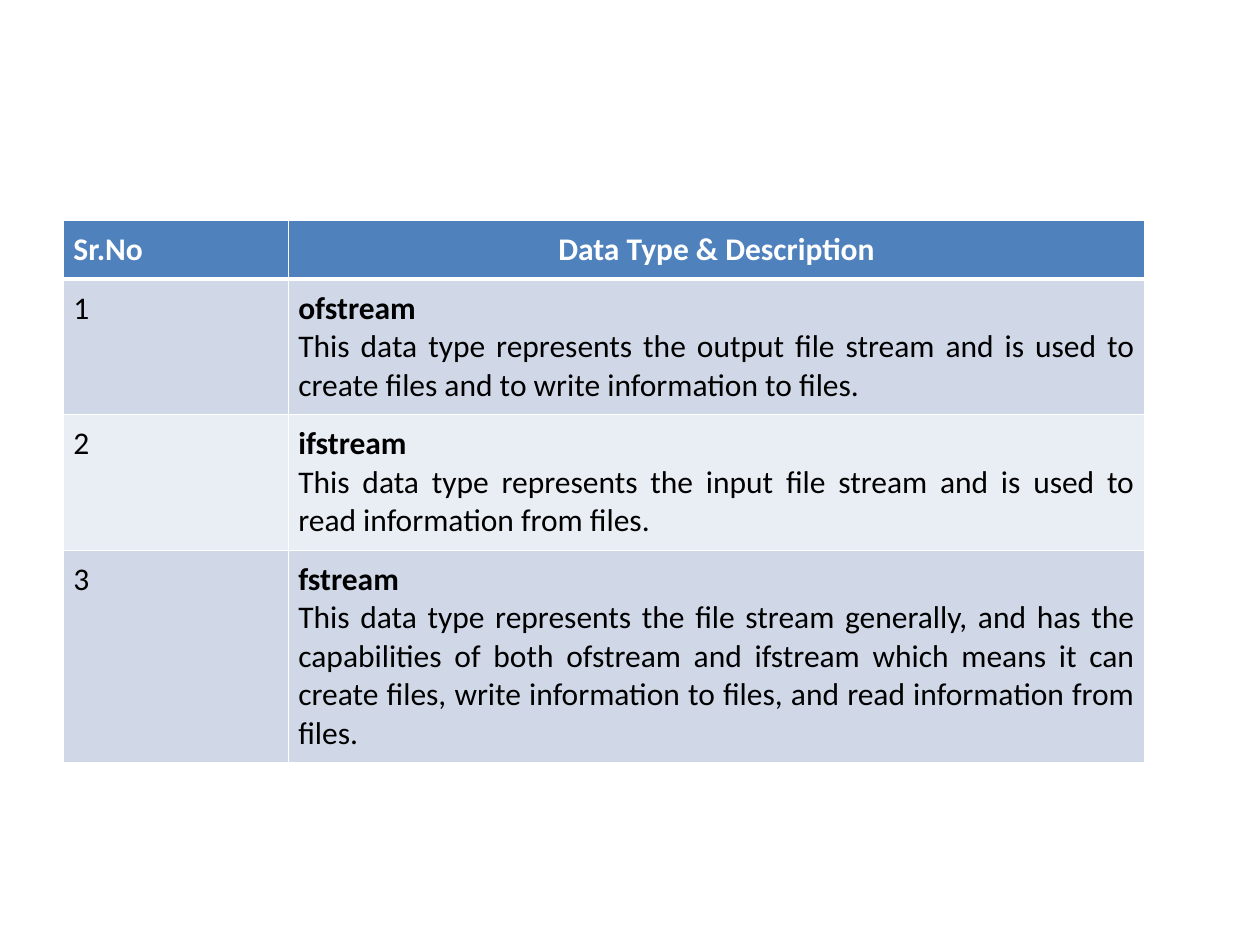
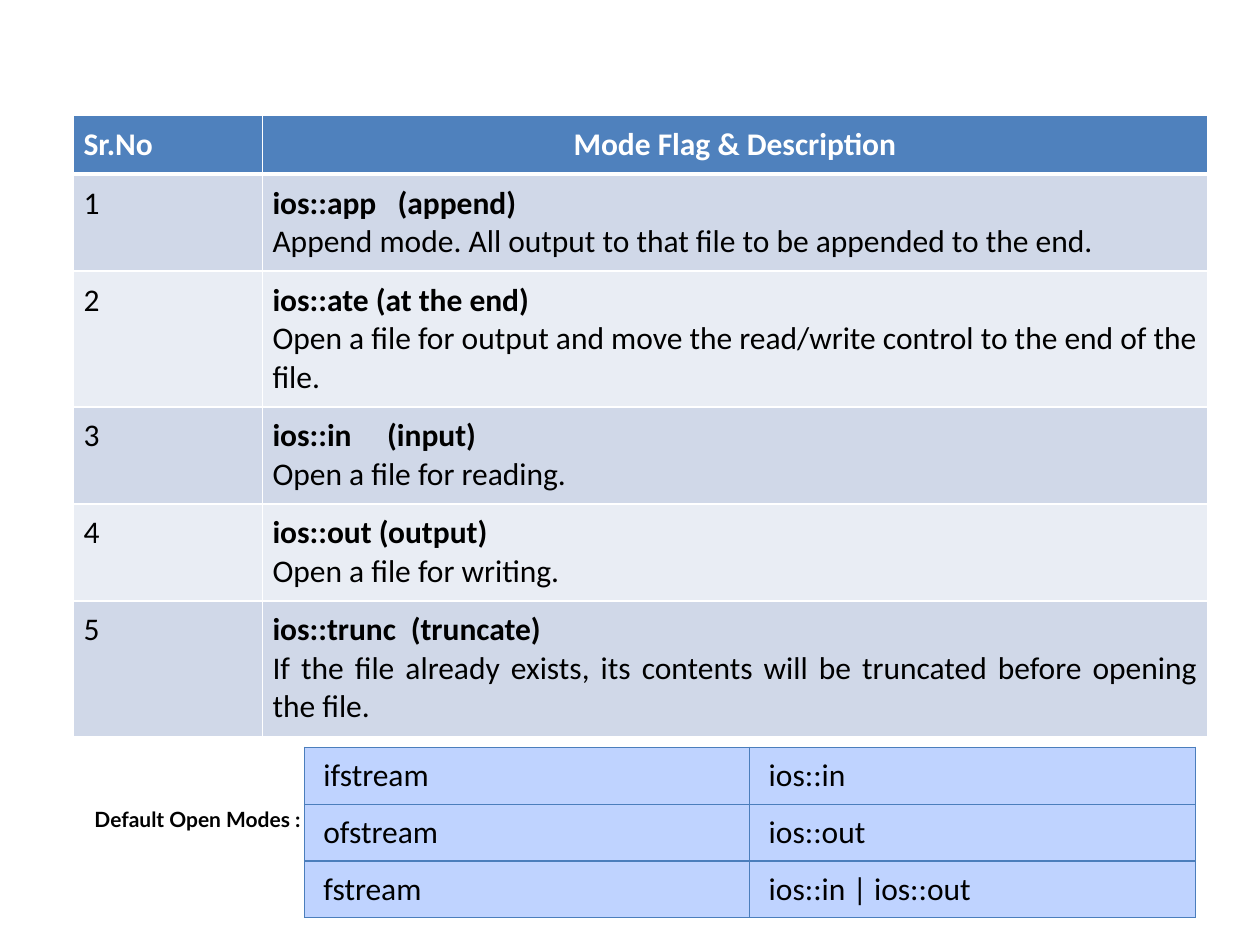
from lxml import etree
from pptx import Presentation
from pptx.dml.color import RGBColor
from pptx.enum.text import MSO_ANCHOR, PP_ALIGN
from pptx.oxml.ns import qn
from pptx.util import Pt

LEFT, CENTER, JUSTIFY = PP_ALIGN.LEFT, PP_ALIGN.CENTER, PP_ALIGN.JUSTIFY
TOP, MIDDLE = MSO_ANCHOR.TOP, MSO_ANCHOR.MIDDLE
BLANK_LAYOUT = 6

COLORS = {
    "header": "4F81BD",
    "band_dark": "D0D8E8",
    "band_light": "E9EDF4",
    "modes": "BFD3FF",
    "modes_line": "4B7EBC",
    "white": "FFFFFF",
    "text": "000000",
}
BODY_FONT, LABEL_FONT = "Calibri", "Lato"
BODY_SIZE, LINE_HEIGHT = 18, 22
INSET = 5.75

# Each entry: term, note after the term, tab stop of the note, description, lines in the cell
STREAMS = [
    ("ofstream", "", 0, "This data type represents the output file stream and is used to "
     "create files and to write information to files.", 3),
    ("ifstream", "", 0, "This data type represents the input file stream and is used to "
     "read information from files.", 3),
    ("fstream", "", 0, "This data type represents the file stream generally, and has the "
     "capabilities of both ofstream and ifstream which means it can create files, write "
     "information to files, and read information from files.", 5),
]
FLAGS = [
    ("ios::app", "(append)", 71.5, "Append mode. All output to that file to be appended "
     "to the end.", 2),
    ("ios::ate (at the end)", "", 0, "Open a file for output and move the read/write "
     "control to the end of the file.", 3),
    ("ios::in", "(input)", 65.5, "Open a file for reading.", 2),
    ("ios::out (output)", "", 0, "Open a file for writing.", 2),
    ("ios::trunc", "(truncate)", 79, "If the file already exists, its contents will be "
     "truncated before opening the file.", 3),
]
DEFAULT_MODES = [
    ("ifstream", "ios::in"),
    ("ofstream", "ios::out"),
    ("fstream", "ios::in | ios::out"),
]


def rgb(name):
    """Return the named colour."""
    return RGBColor.from_string(COLORS[name])


def style_paragraph(p, text, color="text", bold=False, align=LEFT,
                    font=BODY_FONT, size=BODY_SIZE):
    """Write text into a paragraph and format it."""
    p.text = text
    p.alignment = align
    p.font.name = font
    p.font.size = Pt(size)
    p.font.bold = bold
    p.font.color.rgb = rgb(color)


def add_tab_stop(p, position):
    """Give a paragraph one left tab stop."""
    tabs = etree.Element(qn("a:tabLst"))
    etree.SubElement(tabs, qn("a:tab"), pos=str(int(Pt(position))), algn="l")
    p._p.get_or_add_pPr().insert_element_before(tabs, "a:defRPr", "a:extLst")


def set_borders(cell, color, top, bottom, side):
    """Draw the four borders of a cell, with widths in points."""
    tcPr = cell._tc.get_or_add_tcPr()
    for tag, width in (("lnL", side), ("lnR", side), ("lnT", top), ("lnB", bottom)):
        ln = etree.SubElement(tcPr, qn("a:" + tag), w=str(int(Pt(width))))
        fill = etree.SubElement(ln, qn("a:solidFill"))
        etree.SubElement(fill, qn("a:srgbClr"), val=COLORS[color])


def style_cell(cell, fill, inset_x, inset_y, anchor=TOP):
    """Set the fill, insets and anchor of a cell."""
    cell.fill.solid()
    cell.fill.fore_color.rgb = rgb(fill)
    cell.margin_left = cell.margin_right = Pt(inset_x)
    cell.margin_top = cell.margin_bottom = Pt(inset_y)
    cell.vertical_anchor = anchor


def add_table(slide, left, top, widths, heights):
    """Add an empty table with the given column widths and row heights."""
    frame = slide.shapes.add_table(len(heights), len(widths), Pt(left), Pt(top),
                                   Pt(sum(widths)), Pt(sum(heights)))
    table = frame.table
    table.horz_banding = False
    for column, width in zip(table.columns, widths):
        column.width = Pt(width)
    for row, height in zip(table.rows, heights):
        row.height = Pt(height)
    return table


def add_description_table(slide, left, top, widths, heading, entries):
    """Add a numbered table of terms and their descriptions."""
    line_counts = [1] + [entry[-1] for entry in entries]
    heights = [2 * INSET + LINE_HEIGHT * count for count in line_counts]
    table = add_table(slide, left, top, widths, heights)

    for i, row in enumerate(table.rows):
        fill = "header" if i == 0 else ("band_light", "band_dark")[i % 2]
        for cell in row.cells:
            set_borders(cell, "white", 3 if i == 1 else 1, 3 if i == 0 else 1, 1)
            style_cell(cell, fill, INSET, INSET)

    for j, (text, align) in enumerate((("Sr.No", LEFT), (heading, CENTER))):
        p = table.cell(0, j).text_frame.paragraphs[0]
        style_paragraph(p, text, "white", True, align)

    for i, (term, note, tab, description, _) in enumerate(entries, 1):
        style_paragraph(table.cell(i, 0).text_frame.paragraphs[0], str(i))
        tf = table.cell(i, 1).text_frame
        p = tf.paragraphs[0]
        style_paragraph(p, f"{term}\t{note}" if note else term, bold=True, align=JUSTIFY)
        if note:
            add_tab_stop(p, tab)
        style_paragraph(tf.add_paragraph(), description, align=JUSTIFY)


def add_modes_table(slide, left, top, width, row_height):
    """Add the table of default open modes."""
    table = add_table(slide, left, top, [width / 2] * 2,
                      [row_height] * len(DEFAULT_MODES))
    table.first_row = False
    for i, texts in enumerate(DEFAULT_MODES):
        for j, text in enumerate(texts):
            cell = table.cell(i, j)
            set_borders(cell, "modes_line", 0.75, 0.75, 0.75)
            style_cell(cell, "modes", 10.8, 5, MIDDLE)
            style_paragraph(cell.text_frame.paragraphs[0], text)


def add_label(slide, text, left, top, width, height):
    """Add a small bold label without insets."""
    tf = slide.shapes.add_textbox(Pt(left), Pt(top), Pt(width), Pt(height)).text_frame
    tf.word_wrap = True
    tf.vertical_anchor = MIDDLE
    tf.margin_left = tf.margin_right = tf.margin_top = tf.margin_bottom = 0
    style_paragraph(tf.paragraphs[0], text, bold=True, font=LABEL_FONT, size=12)


def main():
    """Build and save the presentation."""
    prs = Presentation()
    prs.slide_width, prs.slide_height = Pt(720), Pt(540)
    layout = prs.slide_layouts[BLANK_LAYOUT]

    slide = prs.slides.add_slide(layout)
    add_description_table(slide, 36.25, 126, (128.5, 489.5),
                          "Data Type & Description", STREAMS)

    slide = prs.slides.add_slide(layout)
    add_description_table(slide, 42, 66, (108, 540), "Mode Flag & Description", FLAGS)
    add_modes_table(slide, 174, 427, 509, 32.5)
    add_label(slide, "Default Open Modes :", 54, 461, 432, 14.4)

    prs.save("out.pptx")


main()
